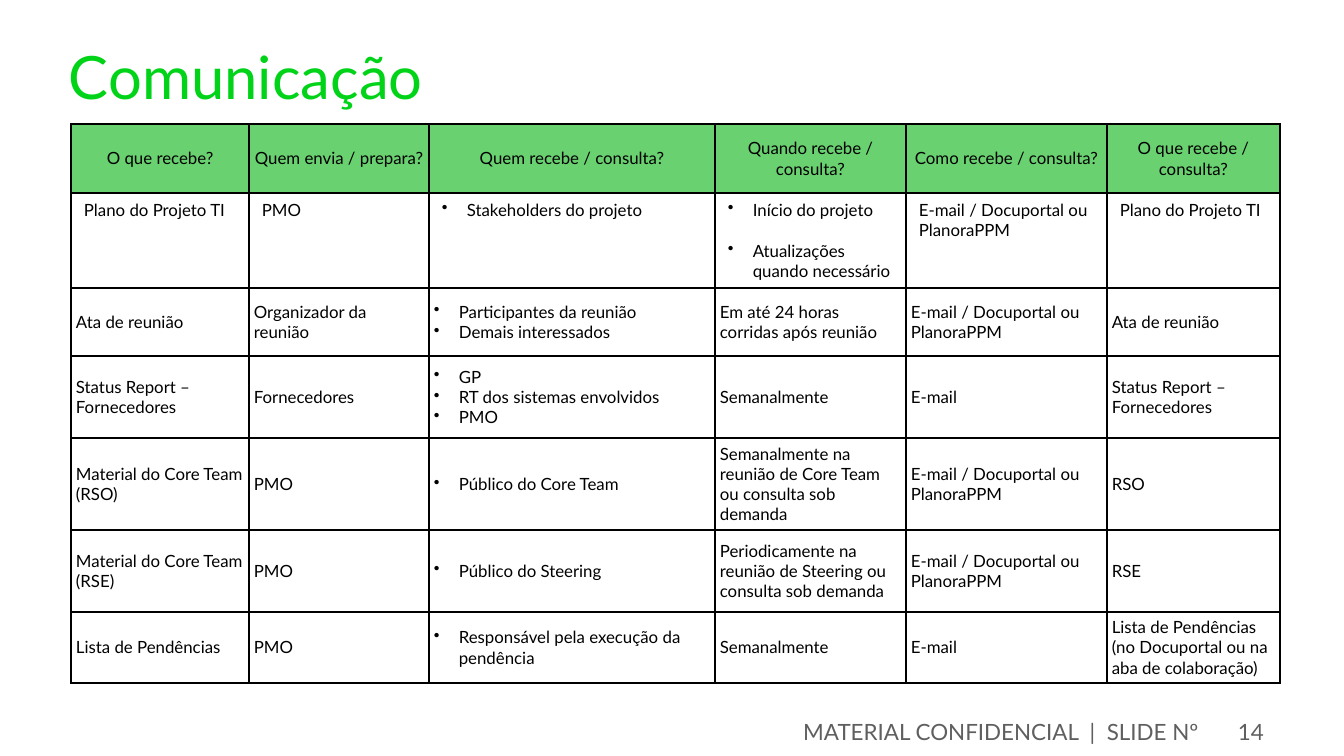
import pptx
import pptx.dml.color
import pptx.enum.text
import pptx.oxml
import pptx.oxml.ns
import pptx.util

RGBColor = pptx.dml.color.RGBColor
Align = pptx.enum.text.PP_ALIGN
Anchor = pptx.enum.text.MSO_ANCHOR

BRIGHT_GREEN = RGBColor(0x00, 0xD3, 0x18)
HEADER_GREEN = RGBColor(0x69, 0xD1, 0x70)
GRAY = RGBColor(0x5F, 0x5F, 0x5F)
BLACK = RGBColor(0x00, 0x00, 0x00)

PORTAL = "E-mail / Docuportal ou PlanoraPPM"
HEADERS = ["O que recebe?", "Quem envia / prepara?", "Quem recebe / consulta?",
           "Quando recebe / consulta?", "Como recebe / consulta?",
           "O que recebe / consulta?"]
ROWS = [
    ["Plano do Projeto TI", "PMO", "Stakeholders do projeto",
     "Início do projeto\nAtualizações quando necessário", PORTAL,
     "Plano do Projeto TI"],
    ["Ata de reunião", "Organizador da reunião",
     "Participantes da reunião\nDemais interessados",
     "Em até 24 horas corridas após reunião", PORTAL, "Ata de reunião"],
    ["Status Report –Fornecedores", "Fornecedores",
     "GP\nRT dos sistemas envolvidos\nPMO", "Semanalmente", "E-mail",
     "Status Report – Fornecedores"],
    ["Material do Core Team (RSO)", "PMO", "Público do Core Team",
     "Semanalmente na reunião de Core Team ou consulta sob demanda", PORTAL,
     "RSO"],
    ["Material do Core Team (RSE)", "PMO", "Público do Steering",
     "Periodicamente na reunião de Steering ou consulta sob demanda", PORTAL,
     "RSE"],
    ["Lista de Pendências", "PMO", "Responsável pela execução da pendência",
     "Semanalmente", "E-mail",
     "Lista de Pendências (no Docuportal ou na aba de colaboração)"],
]
COLUMN_WIDTHS = [178, 180, 286, 191, 201, 173]
ROW_HEIGHTS = [69, 95, 68, 82, 92, 82, 71]
WHO_RECEIVES, WHEN = 2, 3


def px(n):
    return pptx.util.Emu(round(n * 914400 / 134.4))


class Deck:
    font = "Lato"

    def __init__(self, width, height):
        self.prs = pptx.Presentation()
        self.prs.slide_width, self.prs.slide_height = px(width), px(height)
        self.s = self.prs.slides.add_slide(self.prs.slide_layouts[6])

    def fill_text(self, tf, text, size, color, align=Align.LEFT):
        tf.text = text
        tf.word_wrap = True
        for p in tf.paragraphs:
            p.alignment = align
            for r in p.runs:
                r.font.name = self.font
                r.font.size = pptx.util.Pt(size)
                r.font.color.rgb = color

    def text(self, box, text, size, color, align=Align.LEFT,
             anchor=Anchor.MIDDLE, margins=(13, 7)):
        tf = self.s.shapes.add_textbox(*map(px, box)).text_frame
        self.fill_text(tf, text, size, color, align)
        tf.vertical_anchor = anchor
        tf.margin_left = tf.margin_right = px(margins[0])
        tf.margin_top = tf.margin_bottom = px(margins[1])

    def table(self, left, top, widths, heights):
        box = map(px, (left, top, sum(widths), sum(heights)))
        table = self.s.shapes.add_table(len(heights), len(widths), *box).table
        table.first_row = table.horz_banding = False
        for column, width in zip(table.columns, widths):
            column.width = px(width)
        for row, height in zip(table.rows, heights):
            row.height = px(height)
        return table

    def cell(self, cell, text, align=Align.LEFT, anchor=Anchor.MIDDLE,
             margins=(5, 5), fill=None):
        self.fill_text(cell.text_frame, text, 9, BLACK, align)
        cell.vertical_anchor = anchor
        cell.margin_left = cell.margin_right = px(margins[0])
        cell.margin_top = cell.margin_bottom = px(margins[1])
        self.borders(cell)
        if fill is None:
            cell.fill.background()
        else:
            cell.fill.solid()
            cell.fill.fore_color.rgb = fill

    def borders(self, cell):
        tc_pr = cell._tc.get_or_add_tcPr()
        for side in ("lnL", "lnR", "lnT", "lnB"):
            tc_pr.append(pptx.oxml.parse_xml(
                f'<a:{side} {pptx.oxml.ns.nsdecls("a")} w="12700"><a:solidFill>'
                f'<a:srgbClr val="{BLACK}"/></a:solidFill></a:{side}>'))

    def bullets(self, cell, gap=0):
        """Bullet every paragraph, with gap points between them."""
        for i, p in enumerate(cell.text_frame.paragraphs):
            if i and gap:
                p.space_before = pptx.util.Pt(gap)
            p_pr = p._p.get_or_add_pPr()
            p_pr.set("marL", str(px(25)))
            p_pr.set("indent", str(px(-25)))
            p_pr.append(pptx.oxml.parse_xml(
                f'<a:buChar {pptx.oxml.ns.nsdecls("a")} char="•"/>'))


def main():
    deck = Deck(1344, 756)
    deck.text((69, 40, 1207, 105), "Comunicação", 32, BRIGHT_GREEN,
              anchor=Anchor.TOP, margins=(0, 0))

    table = deck.table(71, 124, COLUMN_WIDTHS, ROW_HEIGHTS)
    for col, header in enumerate(HEADERS):
        deck.cell(table.cell(0, col), header, Align.CENTER, margins=(1, 1),
                  fill=HEADER_GREEN)
    for row, texts in enumerate(ROWS, start=1):
        plan = row == 1
        style = dict(anchor=Anchor.TOP, margins=(13, 7)) if plan else {}
        for col, text in enumerate(texts):
            cell = table.cell(row, col)
            deck.cell(cell, text, **style)
            if col == WHO_RECEIVES or (plan and col == WHEN):
                deck.bullets(cell, gap=11 if plan else 0)

    deck.text((67, 716, 1145, 32), "MATERIAL CONFIDENCIAL  |  SLIDE Nº", 12,
              GRAY, Align.RIGHT)
    deck.text((1212, 716, 65, 32), "14", 12, GRAY, Align.RIGHT)
    deck.prs.save("out.pptx")


if __name__ == "__main__":
    main()
